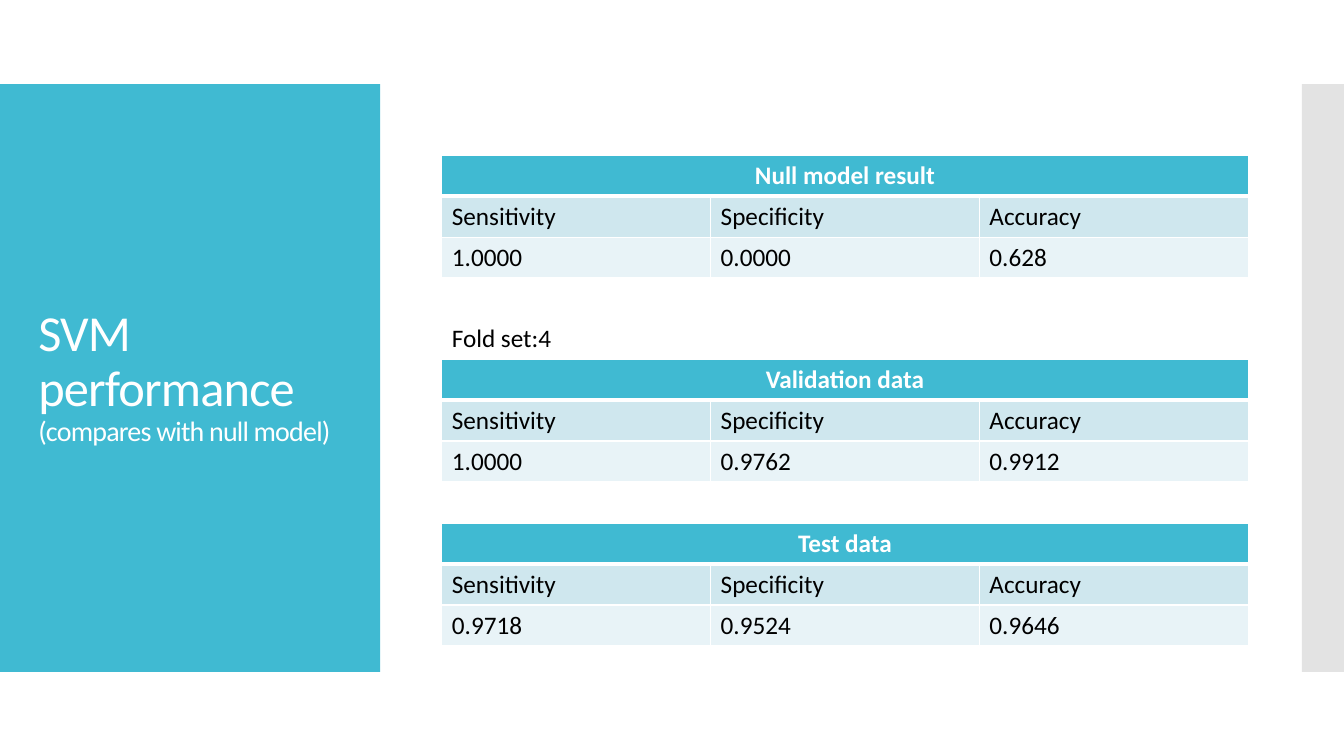
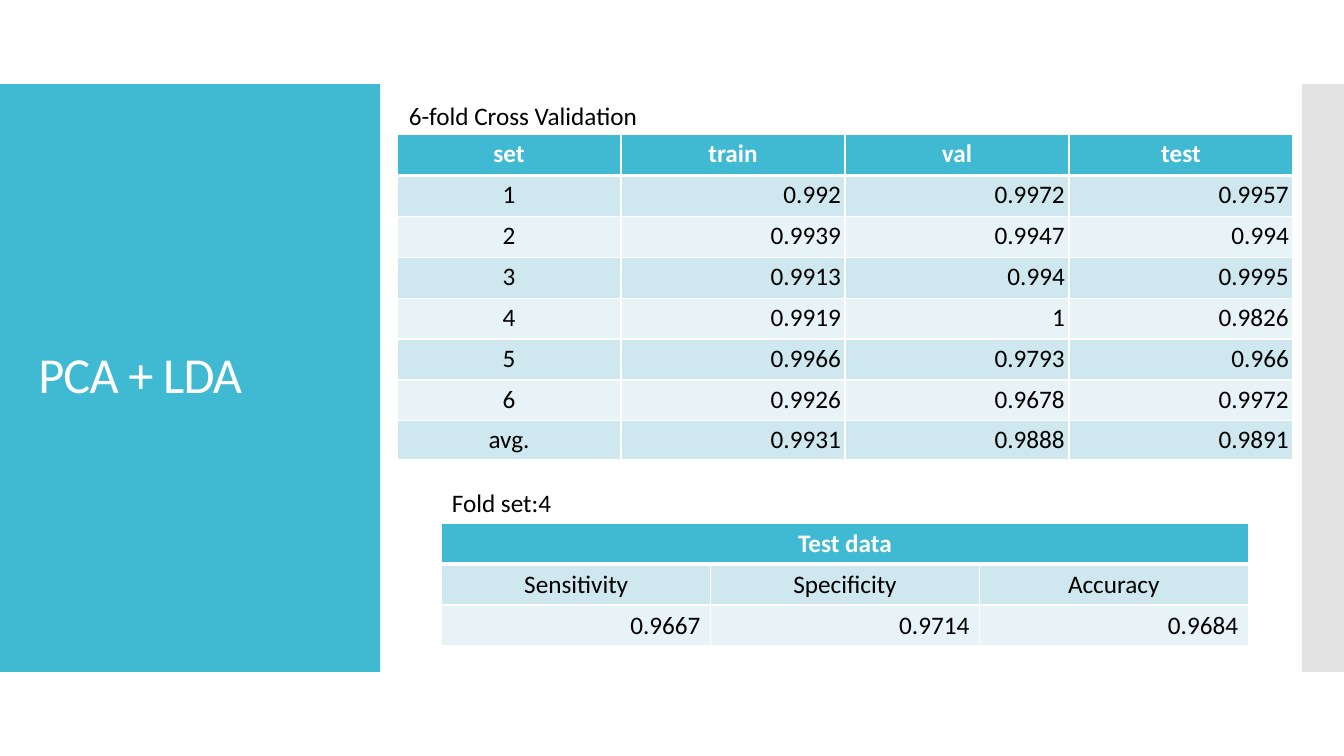
from lxml import etree
from pptx import Presentation
from pptx import util as u
from pptx.dml import color
from pptx.enum import shapes, text
from pptx.oxml import ns

Pt = u.Pt
COLORS = {
    "accent": "40BAD2",
    "edge": "C8C8C8",
    "band_dark": "CFE7EE",
    "band_light": "E8F3F7",
    "white": "FFFFFF",
    "black": "000000",
}
FONT = "Calibri"
ALIGN = {
    "l": text.PP_ALIGN.LEFT,
    "c": text.PP_ALIGN.CENTER,
    "r": text.PP_ALIGN.RIGHT,
}
ROW_HEIGHT = 29.2
METRICS_LEFT, METRICS_WIDTH = 315.6, 576


def write(paragraph, content, size=18, ink="black", bold=False, align="l", tracking=0):
    paragraph.alignment = ALIGN[align]
    run = paragraph.add_run()
    run.text = content
    run.font.name = FONT
    run.font.size = Pt(size)
    run.font.bold = bold
    run.font.color.rgb = color.RGBColor.from_string(COLORS[ink])
    if tracking:
        run.font._element.set("spc", str(tracking))


def add_grid(slide, rows, aligns, left, top, width, heights, inset_x=7.2, inset_y=3.6):
    columns = len(rows[-1])
    grid = slide.shapes.add_table(
        len(rows), columns, Pt(left), Pt(top), Pt(width), Pt(sum(heights))
    ).table
    for column in grid.columns:
        column.width = Pt(width / columns)
    for r, values in enumerate(rows):
        grid.rows[r].height = Pt(heights[r])
        band = "accent" if r == 0 else "band_dark" if r % 2 else "band_light"
        for c in range(columns):
            cell = grid.cell(r, c)
            cell.margin_left = cell.margin_right = Pt(inset_x)
            cell.margin_top = cell.margin_bottom = Pt(inset_y)
            properties = cell._tc.get_or_add_tcPr()
            for side in "LRTB":
                heavy = (r, side) in ((0, "B"), (1, "T"))
                border = etree.SubElement(
                    properties, ns.qn(f"a:ln{side}"), w=str(Pt(3 if heavy else 1))
                )
                paint = etree.SubElement(border, ns.qn("a:solidFill"))
                etree.SubElement(paint, ns.qn("a:srgbClr"), val=COLORS["white"])
            cell.fill.solid()
            cell.fill.fore_color.rgb = color.RGBColor.from_string(COLORS[band])
            if c < len(values):
                write(
                    cell.text_frame.paragraphs[0],
                    values[c],
                    ink="black" if r else "white",
                    bold=r == 0,
                    align=aligns[r][c],
                )
    if len(rows[0]) < columns:
        grid.cell(0, 0).merge(grid.cell(0, columns - 1))


deck = Presentation()
deck.slide_width, deck.slide_height = Pt(960), Pt(540)
layout = deck.slide_layouts[5]
for placeholder in list(layout.placeholders)[1:]:
    placeholder._element.getparent().remove(placeholder._element)

titles = [
    [("SVM performance", 36), ("(compares with null model)", 20)],
    [("PCA + LDA", 36)],
]
for lines in titles:
    title = deck.slides.add_slide(layout).shapes.title
    title.left, title.top = Pt(20.16), Pt(88.6)
    title.width, title.height = Pt(231.8), Pt(362.2)
    frame = title.text_frame
    frame.word_wrap = True
    frame.auto_size = text.MSO_AUTO_SIZE.NONE
    frame.vertical_anchor = text.MSO_ANCHOR.MIDDLE
    heading = frame.paragraphs[0]
    heading.line_spacing = 0.9
    for i, (line, size) in enumerate(lines):
        if i:
            heading.add_line_break()
        write(heading, line, size=size, ink="white", tracking=-60)
svm, lda = deck.slides

panels = []
for left, width, fill in [(0, 271.5, "accent"), (930, 30, "edge")]:
    panel = svm.shapes.add_shape(
        shapes.MSO_SHAPE.RECTANGLE, Pt(left), Pt(60), Pt(width), Pt(420)
    )
    panel.shadow.inherit = False
    panel.fill.solid()
    panel.fill.fore_color.rgb = color.RGBColor.from_string(COLORS[fill])
    panel.line.fill.background()
    panels.append(panel)
edge_color = panels[1]._element.spPr.find(".//" + ns.qn("a:srgbClr"))
etree.SubElement(edge_color, ns.qn("a:alpha"), val="50000")
for position, panel in enumerate(panels, 2):
    layout.shapes._spTree.insert(position, panel._element)

metrics = ["Sensitivity", "Specificity", "Accuracy"]
results = [
    (svm, "Null model result", 111, ["1.0000", "0.0000", "0.628"], "lll", "lll"),
    (svm, "Validation data", 256.6, ["1.0000", "0.9762", "0.9912"], "lll", "lll"),
    (svm, "Test data", 373.8, ["0.9718", "0.9524", "0.9646"], "lll", "lll"),
    (lda, "Test data", 373.8, ["0.9667", "0.9714", "0.9684"], "ccc", "rrr"),
]
for slide, name, top, scores, label_align, score_align in results:
    add_grid(
        slide,
        [[name], metrics, scores],
        ["c", label_align, score_align],
        METRICS_LEFT,
        top,
        METRICS_WIDTH,
        [ROW_HEIGHT] * 3,
    )

folds = [
    ["set", "train", "val", "test"],
    ["1", "0.992", "0.9972", "0.9957"],
    ["2", "0.9939", "0.9947", "0.994"],
    ["3", "0.9913", "0.994", "0.9995"],
    ["4", "0.9919", "1", "0.9826"],
    ["5", "0.9966", "0.9793", "0.966"],
    ["6", "0.9926", "0.9678", "0.9972"],
    ["avg.", "0.9931", "0.9888", "0.9891"],
]
add_grid(
    lda,
    folds,
    ["cccc"] + ["crrr"] * 7,
    283.6,
    96.2,
    640,
    [ROW_HEIGHT] * 7 + [28],
    inset_x=3,
    inset_y=3,
)

captions = [
    (svm, "Fold set:4", METRICS_LEFT, 227, 87.8),
    (lda, "Fold set:4", METRICS_LEFT, 344.4, 87.8),
    (lda, "6-fold Cross Validation", 285, 68.4, 186.5),
]
for slide, caption, left, top, width in captions:
    frame = slide.shapes.add_textbox(Pt(left), Pt(top), Pt(width), Pt(29)).text_frame
    frame.word_wrap = False
    frame.auto_size = text.MSO_AUTO_SIZE.SHAPE_TO_FIT_TEXT
    write(frame.paragraphs[0], caption)

deck.save("out.pptx")
